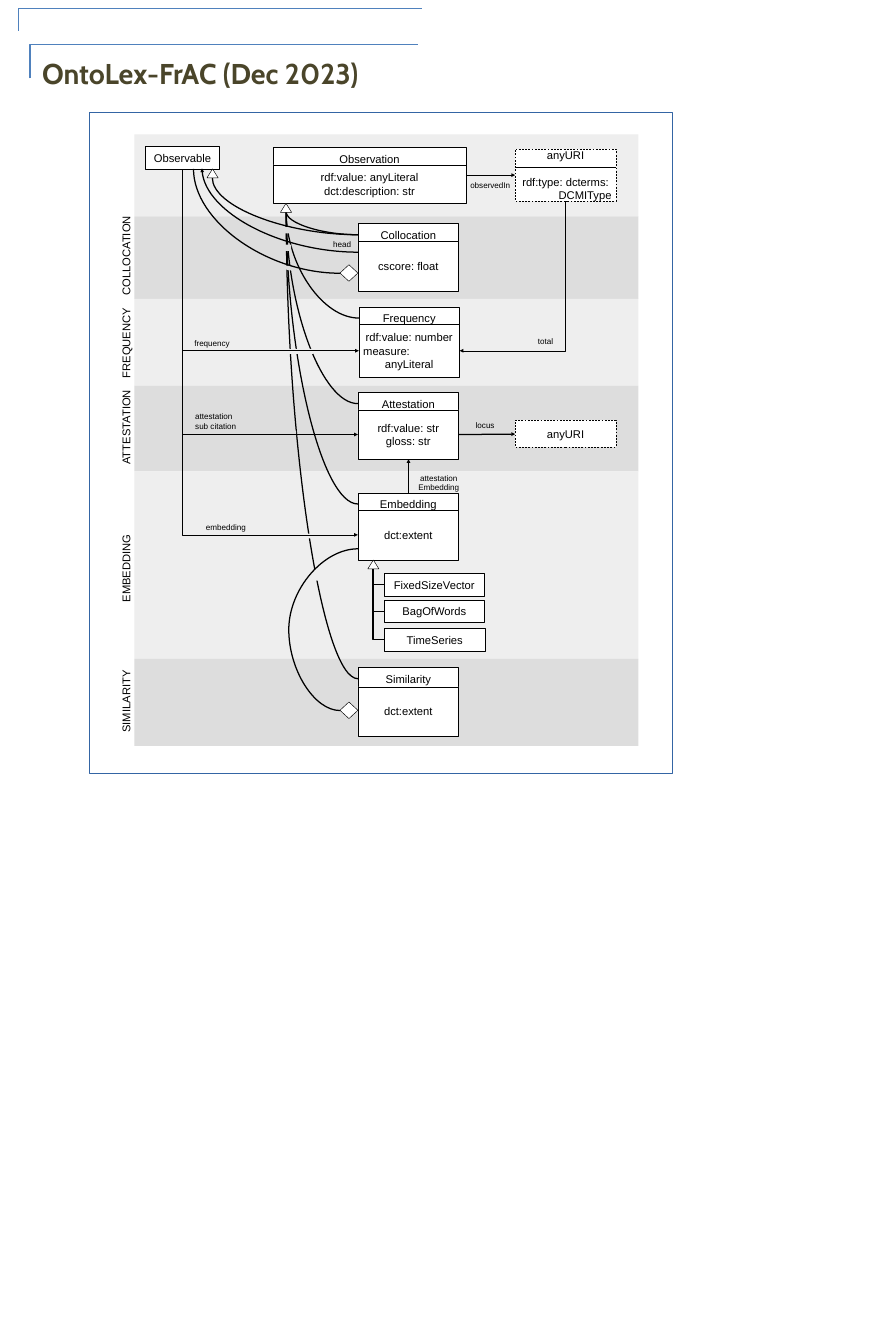
import lxml.etree
import pptx
import pptx.dml.color
import pptx.enum.dml
import pptx.enum.shapes
import pptx.enum.text
import pptx.oxml.ns
import pptx.util

PX = 9144
WHITE = pptx.dml.color.RGBColor(0xFF, 0xFF, 0xFF)
BLACK = pptx.dml.color.RGBColor(0x00, 0x00, 0x00)
LIGHT = pptx.dml.color.RGBColor(0xEE, 0xEE, 0xEE)
GREY = pptx.dml.color.RGBColor(0xDD, 0xDD, 0xDD)
BLUE = pptx.dml.color.RGBColor(0x4F, 0x81, 0xBD)
FRAME = pptx.dml.color.RGBColor(0x34, 0x65, 0xA4)
OLIVE = pptx.dml.color.RGBColor(0x4A, 0x45, 0x2A)

KIND = pptx.enum.shapes.MSO_SHAPE
WIRE = pptx.enum.shapes.MSO_CONNECTOR
DASH = pptx.enum.dml.MSO_LINE.DASH
MIDDLE = pptx.enum.text.MSO_ANCHOR.MIDDLE
LEFT = pptx.enum.text.PP_ALIGN.LEFT
CENTER = pptx.enum.text.PP_ALIGN.CENTER
RIGHT = pptx.enum.text.PP_ALIGN.RIGHT


def apply(obj, **fmt):
    """Set each format value on the object."""
    for name, value in fmt.items():
        setattr(obj, name, value)


def emu(*lengths):
    """Turn px into EMU."""
    return [n * PX for n in lengths]


def inside(box, part):
    """Shift a part by the corner of its box."""
    return (box[0] + part[0], box[1] + part[1], *part[2:])


def write(sp, lines, size=18, align=CENTER, color=BLACK, font="Arial", bold=False, **frame):
    """Fill a shape with lines, each a string or (string, paragraph format)."""
    tf = sp.text_frame
    apply(tf, **{"word_wrap": True, **frame})
    for i, line in enumerate(lines):
        text, fmt = (line, {}) if isinstance(line, str) else line
        p = tf.add_paragraph() if i else tf.paragraphs[0]
        apply(p, **{"alignment": align, **fmt})
        r = p.add_run()
        r.text = text
        apply(r.font, name=font, size=pptx.util.Pt(size), bold=bold)
        r.font.color.rgb = color


def shape(s, part, kind=KIND.RECTANGLE, fill=WHITE, line=BLACK, lines=(), dash=None, rotation=0):
    """Add a flat preset shape with optional centred lines."""
    sp = s.shapes.add_shape(kind, *emu(*part))
    apply(sp, rotation=rotation)
    sp.shadow.inherit = False
    sp.fill.solid()
    sp.fill.fore_color.rgb = fill
    if line is None:
        sp.line.fill.background()
    else:
        sp.line.color.rgb = line
        apply(sp.line, width=0, dash_style=dash)
    if lines:
        write(sp, lines, vertical_anchor=MIDDLE)
    return sp


def label(s, part, lines, rotation=0, **fmt):
    """Add a text box."""
    sp = s.shapes.add_textbox(*emu(*part))
    apply(sp, rotation=rotation)
    write(sp, lines, **fmt)


def connect(s, box, start, end, kind=WIRE.STRAIGHT, prst=None, arrow=None, width=0, adj=None):
    """Add a connector; arrow names the end that carries a triangle."""
    c = s.shapes.add_connector(kind, *emu(*inside(box, start), *inside(box, end)))
    c.line.color.rgb = BLACK
    apply(c.line, width=pptx.util.Pt(width))
    qn = pptx.oxml.ns.qn
    spPr = c._element.spPr
    geom = spPr.find(qn("a:prstGeom"))
    if prst:
        geom.set("prst", prst)
    if adj:
        guides = geom.find(qn("a:avLst"))
        lxml.etree.SubElement(guides, qn("a:gd"), name="adj1", fmla=f"val {adj}")
    if arrow:
        lxml.etree.SubElement(spPr.find(qn("a:ln")), qn(f"a:{arrow}"), type="triangle")
    lxml.etree.SubElement(spPr, qn("a:effectLst"))


def curve(s, box, side, foot, **fmt):
    """Add a quarter curve from a box side to a vertical end."""
    connect(s, box, side, foot, WIRE.CURVE, "curvedConnector2", **fmt)


def elbow(s, box, side, foot, **fmt):
    """Add a right-angled link from a box side to a vertical end."""
    connect(s, box, side, foot, WIRE.ELBOW, "bentConnector2", **fmt)


def header(s, box):
    """Draw the two corner rules and the title."""
    rules = [((0, 50), (0, 0), (900, 0), 1.5), ((25, 156), (25, 81), (891, 81), 2)]
    for *points, width in rules:
        first, *rest = [inside(box, point) for point in points]
        path = s.shapes.build_freeform(*first, scale=PX)
        path.add_line_segments(rest, close=False)
        sp = path.convert_to_shape()
        sp.shadow.inherit = False
        sp.fill.background()
        sp.line.color.rgb = BLUE
        apply(sp.line, width=pptx.util.Pt(width))
    label(s, inside(box, (42, 93, 1050, 100)), ["OntoLex-FrAC (Dec 2023)"], size=46,
          align=LEFT, color=OLIVE, font="Cabin", bold=True, vertical_anchor=MIDDLE)


def bands(s, box):
    """Draw the striped module bands with their upright names."""
    edges = [0, 183, 367, 561, 752, 1171, 1365]
    for i, (top, bottom) in enumerate(zip(edges, edges[1:])):
        part = inside(box, (0, top, box[2], bottom - top))
        shape(s, part, fill=GREY if i in (1, 3, 5) else LIGHT, line=None)
    names = [("COLLOCATION", 271), ("FREQUENCY", 466), ("ATTESTATION", 654),
             ("EMBEDDING", 969), ("SIMILARITY", 1266)]
    for name, mid in names:
        label(s, inside(box, (-120, mid - 19, 200, 38)), [name], rotation=270, word_wrap=False)


def class_box(s, box, name, lines, head=39):
    """Draw a class with its name above its properties."""
    x, y, w, h = box
    shape(s, (x, y, w, 50), lines=[name])
    shape(s, (x, y + head, w, h - head), lines=lines)


def uri_box(s, box):
    """Draw the dashed data type with its divider."""
    gap = {"space_before": pptx.util.Pt(20.7)}
    shape(s, box, dash=DASH, lines=["anyURI", ("rdf:type: dcterms:", gap),
                                    ("DCMIType", {"alignment": RIGHT})])
    connect(s, box, (0, 41), (box[2], 41))


def classes(s, box):
    """Draw every class of the model."""
    shape(s, inside(box, (25, 27, 165, 50)), lines=["Observable"])
    uri_box(s, inside(box, (850, 33, 225, 116)))
    shape(s, inside(box, (850, 638, 225, 60)), dash=DASH, lines=["anyURI"])
    measure = ("measure:", {"alignment": LEFT})
    for part, name, lines, head in [
        ((310, 29, 430, 125), "Observation", ["rdf:value: anyLiteral", "dct:description: str"], 39),
        ((499, 199, 225, 151), "Collocation", ["cscore: float"], 39),
        ((501, 385, 225, 157), "Frequency", ["rdf:value: number", measure, "anyLiteral"], 39),
        ((499, 576, 225, 149), "Attestation", ["rdf:value: str", "gloss: str"], 39),
        ((499, 800, 225, 150), "Embedding", ["dct:extent"], 40),
        ((499, 1190, 225, 153), "Similarity", ["dct:extent"], 43),
    ]:
        class_box(s, inside(box, part), name, lines, head)
    for x, y, name in [(557, 980, "FixedSizeVector"), (557, 1040, "BagOfWords"),
                       (558, 1103, "TimeSeries")]:
        shape(s, inside(box, (x, y, 225, 50)), lines=[name])
        elbow(s, box, (x, y + 25), (533, 970))


def inheritance(s, box):
    """Draw the curves up to Observation and the gaps where links cross."""
    for side in [(501, 410), (499, 601), (499, 224), (499, 825), (499, 1215)]:
        curve(s, box, side, (339, 173))
    for *part, color, turn in [
        (333, 246, 17, 14, GREY, 0), (325, 294, 42, 9, GREY, 10.6), (329, 207, 17, 14, GREY, 0),
        (371, 661, 17, 14, GREY, 0), (344, 661, 17, 14, GREY, 0), (330, 479, 70, 11, LIGHT, 0),
        (339, 891, 70, 11, LIGHT, 0), (370, 971, 42, 25, LIGHT, 0),
    ]:
        shape(s, inside(box, part), fill=color, line=None, rotation=turn)


def relations(s, box):
    """Draw the property links with their end marks."""
    curve(s, box, (499, 224), (174, 97))
    curve(s, box, (500, 263), (151, 76), arrow="tailEnd")
    curve(s, box, (459, 310), (132, 77))
    for side in [(501, 483), (499, 670), (499, 894)]:
        elbow(s, box, side, (107, 77), arrow="headEnd", width=0.79)
    elbow(s, box, (726, 483), (962, 148), arrow="headEnd", width=0.79)
    for start, end, width in [((740, 91), (850, 91), 0.79), ((724, 670), (850, 669), 0),
                              ((612, 800), (612, 725), 0.79)]:
        connect(s, box, start, end, arrow="tailEnd", width=width)
    connect(s, box, (499, 925), (459, 1286), WIRE.CURVE, adj=385700)
    for x, y in [(459, 291), (459, 1267)]:
        shape(s, inside(box, (x, y, 40, 37)), KIND.DIAMOND)
    for x, y in [(326, 154), (162, 77), (521, 950)]:
        shape(s, inside(box, (x, y, 25, 20)), KIND.ISOSCELES_TRIANGLE)


def link_names(s, box):
    """Write the names of the property links."""
    for x, y, w, align, lines in [
        (728, 634, 110, CENTER, ["locus"]), (740, 98, 110, LEFT, ["observedIn"]),
        (124, 451, 110, LEFT, ["frequency"]), (891, 447, 110, LEFT, ["total"]),
        (126, 614, 118, LEFT, ["attestation", "sub citation"]), (434, 230, 110, LEFT, ["head"]),
        (150, 861, 118, LEFT, ["embedding"]), (619, 751, 121, CENTER, ["attestation", "Embedding"]),
    ]:
        label(s, inside(box, (x, y, w, 66)), lines, size=13, align=align)


def main():
    """Build the slide and save it."""
    prs = pptx.Presentation()
    apply(prs, slide_width=1998 * PX, slide_height=3000 * PX)
    s = prs.slides.add_slide(prs.slide_layouts[6])
    header(s, (42, 19, 1092, 195))
    shape(s, (200, 250, 1300, 1475), line=FRAME)
    for region in (bands, classes, inheritance, relations, link_names):
        region(s, (300, 300, 1125, 1365))
    prs.save("out.pptx")


if __name__ == "__main__":
    main()
